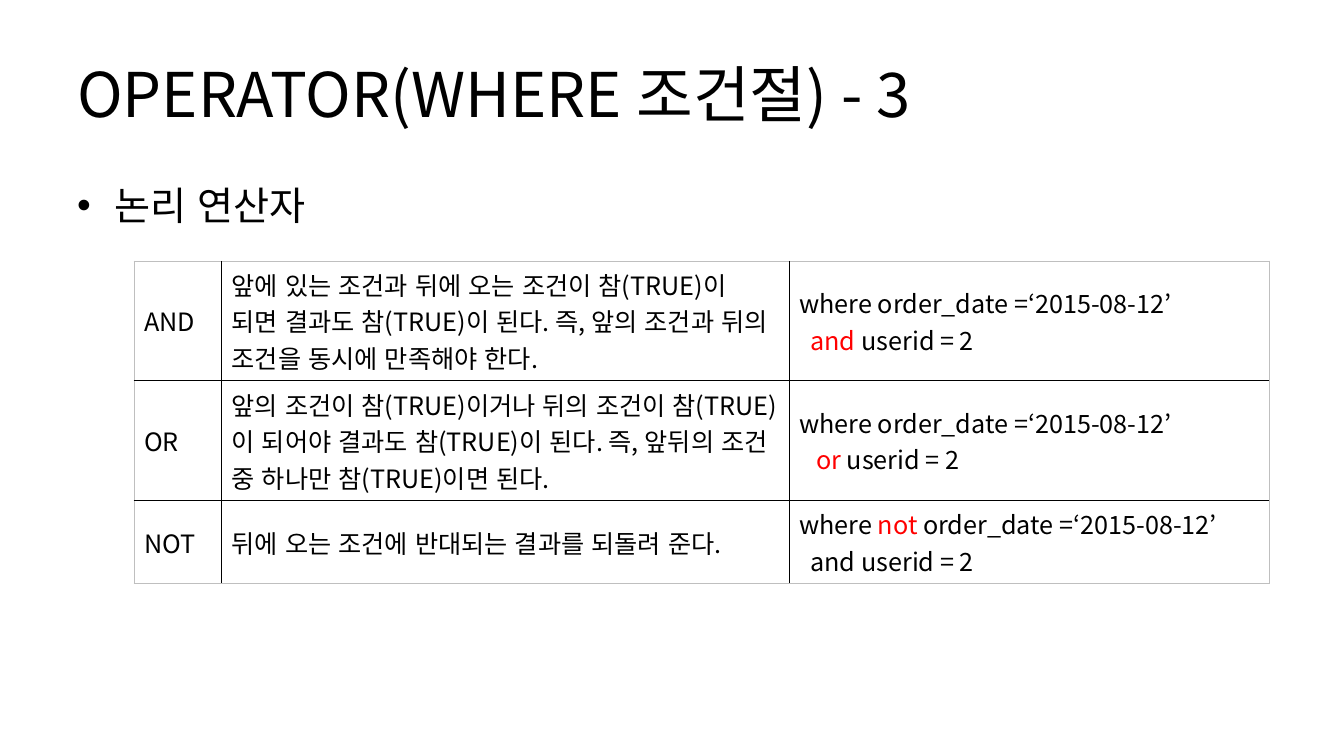
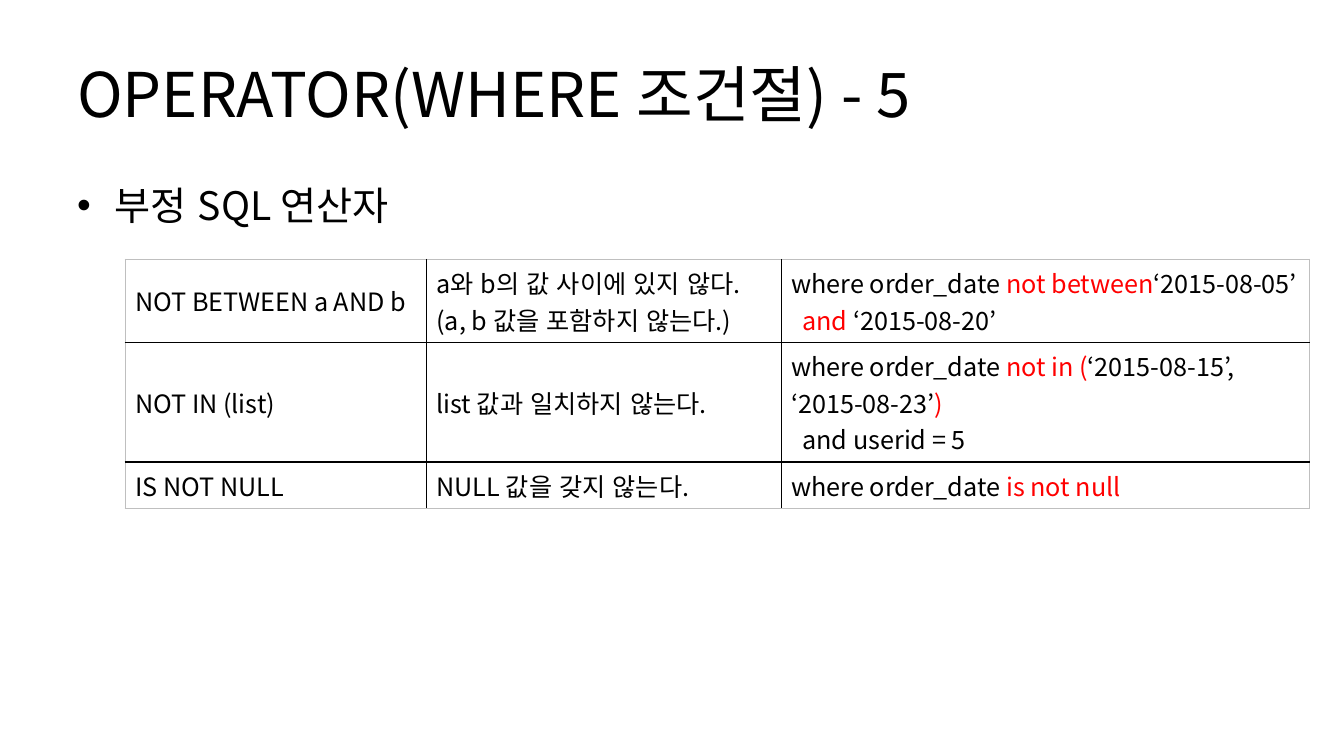
from typing import NamedTuple

from lxml.etree import SubElement
from pptx import Presentation
from pptx.dml.color import RGBColor
from pptx.enum.lang import MSO_LANGUAGE_ID
from pptx.enum.text import MSO_ANCHOR
from pptx.oxml import parse_xml
from pptx.oxml.ns import nsdecls, qn
from pptx.util import Pt

BLACK = RGBColor(0x00, 0x00, 0x00)
RED = RGBColor(0xFF, 0x00, 0x00)
GRAY = RGBColor(0xBF, 0xBF, 0xBF)
FONT = "Noto Sans CJK KR"


class Line(NamedTuple):
    """One line of a cell; text between bars is a red keyword."""
    text: str
    indent: float = 0


class Row(NamedTuple):
    """Cells as lists of lines, and the number of lines the row is high."""
    line_count: int
    cells: list


class Deck:
    title_size, bullet_size, table_size = 44, 28, 18
    left, width = 48, 864
    bullet_indent = 27
    line_height, cell_margin = 26.1, 7.2

    def __init__(self):
        self.presentation = Presentation()
        self.presentation.slide_width = Pt(960)
        self.presentation.slide_height = Pt(540)
        self.slide = None

    def add_slide(self):
        layout = self.presentation.slide_layouts[6]
        self.slide = self.presentation.slides.add_slide(layout)

    def add_run(self, paragraph, text, size, color=BLACK):
        run = paragraph.add_run()
        run.text = text
        font = run.font
        font.name, font.size, font.bold = FONT, Pt(size), False
        font.color.rgb = color
        font.language_id = MSO_LANGUAGE_ID.KOREAN
        SubElement(run._r.get_or_add_rPr(), qn("a:ea")).set("typeface", FONT)

    def text_box(self, top, height, anchor):
        shape = self.slide.shapes.add_textbox(
            Pt(self.left), Pt(top), Pt(self.width), Pt(height))
        shape.text_frame.word_wrap = True
        shape.text_frame.vertical_anchor = anchor
        return shape.text_frame.paragraphs[0]

    def title(self, text):
        paragraph = self.text_box(21.6, 90, MSO_ANCHOR.MIDDLE)
        self.add_run(paragraph, text, self.title_size)

    def bullet(self, text):
        paragraph = self.text_box(126, 356.4, MSO_ANCHOR.TOP)
        paragraph.space_before = Pt(0.2 * self.bullet_size)
        properties = paragraph._p.get_or_add_pPr()
        properties.set("marL", str(Pt(self.bullet_indent)))
        properties.set("indent", str(-Pt(self.bullet_indent)))
        SubElement(properties, qn("a:buFont")).set("typeface", "Arial")
        SubElement(properties, qn("a:buChar")).set("char", "•")
        self.add_run(paragraph, text, self.bullet_size)

    def borders(self, cell, outer_sides):
        """Black rules inside the table, a fine gray frame around it."""
        properties = cell._tc.get_or_add_tcPr()
        for position, side in enumerate("LRTB"):
            color, weight = (GRAY, 0.5) if side in outer_sides else (BLACK, 1)
            properties.insert(position, parse_xml(
                f'<a:ln{side} {nsdecls("a")} w="{Pt(weight)}"><a:solidFill>'
                f'<a:srgbClr val="{color}"/></a:solidFill></a:ln{side}>'))

    def fill_cell(self, cell, lines):
        cell.fill.background()
        cell.vertical_anchor = MSO_ANCHOR.MIDDLE
        for number, line in enumerate(lines):
            frame = cell.text_frame
            paragraph = frame.add_paragraph() if number else frame.paragraphs[0]
            if line.indent:
                paragraph._p.get_or_add_pPr().set("marL", str(Pt(line.indent)))
            for part, text in enumerate(line.text.split("|")):
                if text:
                    self.add_run(paragraph, text, self.table_size,
                                 RED if part % 2 else BLACK)

    def table(self, left, top, widths, rows):
        heights = [row.line_count * self.line_height + self.cell_margin
                   for row in rows]
        table = self.slide.shapes.add_table(
            len(rows), len(widths), Pt(left), Pt(top),
            Pt(sum(widths)), Pt(sum(heights))).table
        table.first_row = table.horz_banding = False
        for column, width in zip(table.columns, widths):
            column.width = Pt(width)
        for r, row in enumerate(rows):
            table.rows[r].height = Pt(heights[r])
            for c, lines in enumerate(row.cells):
                cell = table.cell(r, c)
                self.fill_cell(cell, lines)
                edges = {"L": c == 0, "R": c == len(widths) - 1,
                         "T": r == 0, "B": r == len(rows) - 1}
                self.borders(cell, [side for side in edges if edges[side]])


deck = Deck()

# Logical operators
deck.add_slide()
deck.title("OPERATOR(WHERE 조건절) - 3")
deck.bullet("논리 연산자")
deck.table(95.76, 186.5, [62.6, 405.4, 342.7], [
    Row(3, [
        [Line("AND")],
        [Line("앞에 있는 조건과 뒤에 오는 조건이 참(TRUE)이 되면 결과도 "
              "참(TRUE)이 된다. 즉, 앞의 조건과 뒤의 조건을 동시에 만족해야 한다.")],
        [Line("where order_date =‘2015-08-12’"),
         Line("|and |userid = 2", 8)]]),
    Row(3, [
        [Line("OR")],
        [Line("앞의 조건이 참(TRUE)이거나 뒤의 조건이 참(TRUE)이 되어야 결과도 "
              "참(TRUE)이 된다. 즉, 앞뒤의 조건 중 하나만 참(TRUE)이면 된다.")],
        [Line("where order_date =‘2015-08-12’"),
         Line("|or |userid = 2", 12)]]),
    Row(2, [
        [Line("NOT")],
        [Line("뒤에 오는 조건에 반대되는 결과를 되돌려 준다.")],
        [Line("where |not |order_date =‘2015-08-12’"),
         Line("and userid = 2", 8)]]),
])

# Negative SQL operators
deck.add_slide()
deck.title("OPERATOR(WHERE 조건절) - 5")
deck.bullet("부정 SQL 연산자")
deck.table(89.3, 185.2, [215.3, 253.4, 377.3], [
    Row(2, [
        [Line("NOT BETWEEN a AND b")],
        [Line("a와 b의 값 사이에 있지 않다."),
         Line("(a, b 값을 포함하지 않는다.)")],
        [Line("where order_date |not between|‘2015-08-05’"),
         Line("|and| ‘2015-08-20’", 8)]]),
    Row(3, [
        [Line("NOT IN (list)")],
        [Line("list 값과 일치하지 않는다.")],
        [Line("where order_date |not in (|‘2015-08-15’, ‘2015-08-23’|)"),
         Line("and userid = 5", 8)]]),
    Row(1, [
        [Line("IS NOT NULL")],
        [Line("NULL 값을 갖지 않는다.")],
        [Line("where order_date |is not null")]]),
])

deck.presentation.save("out.pptx")
